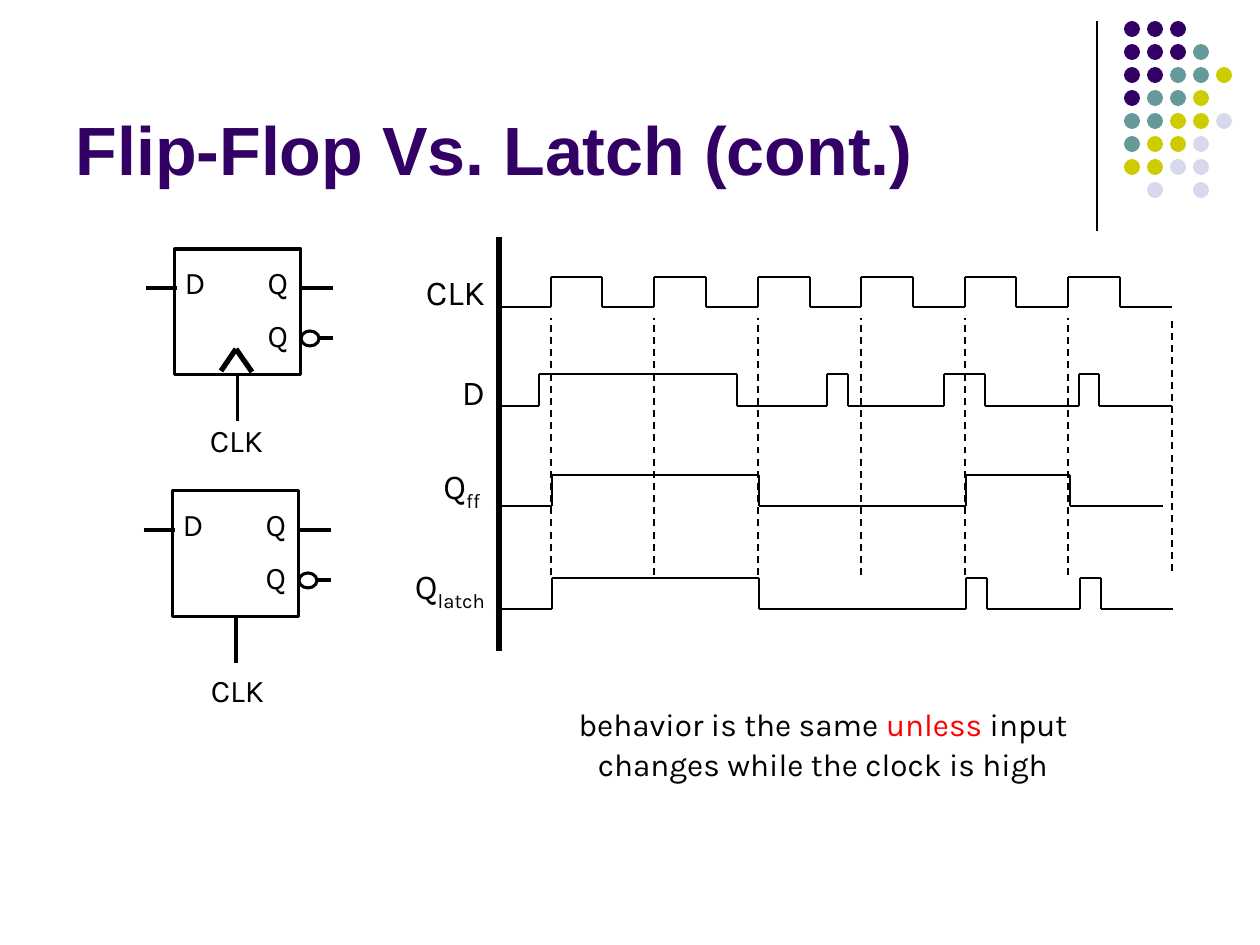
from dataclasses import dataclass
from itertools import pairwise
from typing import Any, NamedTuple

from lxml.etree import SubElement
from pptx import Presentation
from pptx.dml.color import RGBColor
from pptx.enum.dml import MSO_LINE
from pptx.enum.shapes import MSO_CONNECTOR, MSO_SHAPE
from pptx.enum.text import MSO_ANCHOR, MSO_AUTO_SIZE, PP_ALIGN
from pptx.oxml.ns import qn
from pptx.util import Emu, Pt

PX_PER_INCH = 126
COLORS = {
    "ink": "000000", "paper": "FFFFFF", "accent": "FF0000",
    "P": "330066", "T": "669999", "Y": "CCCC00", "L": "D8D8EC",
}
DOT_ROWS = ["PPP", "PPPT", "PPTTY", "PTTY", "TTYYL", "TYYL", "YYLL", " L L"]
DOT_LEFT, DOT_TOP, DOT_PITCH, DOT_SIZE = 1124, 21, 23, 16

AXIS_X, HALF_PERIOD = 499, 51.75
CLOCK_EDGES = [round(AXIS_X + HALF_PERIOD * i) for i in range(14)]


class Box(NamedTuple):
    x: int
    y: int
    w: int
    h: int


class Run(NamedTuple):
    text: str
    color: str = "ink"
    subscript: bool = False


@dataclass
class Wave:
    """A signal that starts low and toggles at every inner edge."""
    low: int
    high: int
    edges: list[int]


@dataclass
class Storage:
    """A flip-flop or latch symbol; the label offset is from its corner."""
    x: int
    y: int
    label_dx: int
    label_dy: int
    edge_triggered: bool


WAVES = [
    Wave(307, 277, CLOCK_EDGES),
    Wave(406, 374, [498, 539, 737, 827, 848, 944, 985, 1079, 1099, 1172]),
    Wave(506, 475, [496, 552, 759, 966, 1070, 1163]),
    Wave(609, 578, [496, 552, 759, 966, 987, 1080, 1101, 1173]),
]
SYMBOLS = [
    Storage(173, 491, 35, 186, False),
    Storage(175, 249, 32, 178, True),
]


def px(n: int) -> Emu:
    return Emu(round(n * 914400 / PX_PER_INCH))


def rgb(name: str) -> RGBColor:
    return RGBColor.from_string(COLORS[name])


def add_line(shapes: Any, x1: int, y1: int, x2: int, y2: int,
             width: float = 1.5, dashed: bool = False) -> Any:
    cxn = shapes.add_connector(MSO_CONNECTOR.STRAIGHT, px(x1), px(y1), px(x2), px(y2))
    cxn.line.color.rgb = rgb("ink")
    cxn.line.width = Pt(width)
    if dashed:
        cxn.line.dash_style = MSO_LINE.DASH
    SubElement(cxn._element.spPr, qn("a:effectLst"))
    return cxn


def add_solid(shapes: Any, kind: MSO_SHAPE, box: Box, fill: str,
              outline: float = 0) -> Any:
    sp = shapes.add_shape(kind, *map(px, box))
    sp.shadow.inherit = False
    sp.fill.solid()
    sp.fill.fore_color.rgb = rgb(fill)
    if outline:
        sp.line.color.rgb = rgb("ink")
        sp.line.width = Pt(outline)
    else:
        sp.line.fill.background()
    return sp


def add_text(shapes: Any, box: Box, lines: list[list[Run]], size: int,
             align: PP_ALIGN, spacing: Any, gap: float = 0,
             insets: tuple[int, int] = (3, 4), grow: bool = False) -> None:
    tf = shapes.add_textbox(*map(px, box)).text_frame
    side, edge = map(px, insets)
    frame_format = {
        "margin_left": side, "margin_right": side,
        "margin_top": edge, "margin_bottom": edge, "word_wrap": False,
        "auto_size": MSO_AUTO_SIZE.SHAPE_TO_FIT_TEXT if grow else MSO_AUTO_SIZE.NONE,
    }
    for name, value in frame_format.items():
        setattr(tf, name, value)
    for i, runs in enumerate(lines):
        p = tf.add_paragraph() if i else tf.paragraphs[0]
        p.alignment = align
        p.line_spacing = spacing
        if i and gap:
            p.space_before = Pt(gap)
        for run in runs:
            r = p.add_run()
            r.text = run.text
            r.font.name = "Karla"
            r.font.size = Pt(size)
            r.font.color.rgb = rgb(run.color)
            if run.subscript:
                r.font._element.set("baseline", "-25000")


def add_title(slide: Any) -> None:
    sp = slide.shapes.title
    sp.left, sp.top, sp.width, sp.height = map(px, Box(63, 16, 1040, 179))
    tf = sp.text_frame
    tf.text = "Flip-Flop Vs. Latch (cont.)"
    tf.vertical_anchor = MSO_ANCHOR.BOTTOM
    tf.auto_size = MSO_AUTO_SIZE.NONE
    p = tf.paragraphs[0]
    p.alignment = PP_ALIGN.LEFT
    for name, value in {"name": "Arial", "size": Pt(39), "bold": True}.items():
        setattr(p.font, name, value)
    p.runs[0].font.color.rgb = rgb("P")


def add_dots(slide: Any) -> None:
    shapes = slide.shapes.add_group_shape().shapes
    for row, colors in enumerate(DOT_ROWS):
        for col, color in enumerate(colors):
            if color != " ":
                box = Box(DOT_LEFT + col * DOT_PITCH, DOT_TOP + row * DOT_PITCH,
                          DOT_SIZE, DOT_SIZE)
                add_solid(shapes, MSO_SHAPE.OVAL, box, color)


def add_wave(shapes: Any, wave: Wave) -> None:
    levels = [wave.low, wave.high]
    last = len(wave.edges) - 2
    for i, (x1, x2) in enumerate(pairwise(wave.edges)):
        y, next_y = levels[i % 2], levels[(i + 1) % 2]
        add_line(shapes, x1, y, x2, y)
        if i < last:
            add_line(shapes, x2, y, x2, next_y)


def add_storage(slide: Any, s: Storage) -> None:
    shapes = slide.shapes.add_group_shape().shapes
    x, y = s.x, s.y
    body = add_solid(shapes, MSO_SHAPE.RECTANGLE, Box(x, y, 126, 126), "paper", 1.75)
    for name, dx, dy in [("D", 9, 27), ("Q", 92, 27), ("Q", 92, 80)]:
        add_text(shapes, Box(x + dx, y + dy, 22, 24), [[Run(name)]], 18,
                 PP_ALIGN.CENTER, Pt(14), insets=(0, 0), grow=True)
    for dx, dy in [(-29, 39), (127, 39), (127, 89)]:
        add_line(shapes, x + dx, y + dy, x + dx + 31, y + dy, 1.75)
    clock = add_line(shapes, x + 63, y + 126, x + 63, y + 172, 1.75)
    clock.begin_connect(body, 2)
    add_solid(shapes, MSO_SHAPE.OVAL, Box(x + 126, y + 82, 18, 15), "paper", 1.75)
    add_text(shapes, Box(x + s.label_dx, y + s.label_dy, 98, 52), [[Run("CLK")]],
             18, PP_ALIGN.LEFT, Pt(16))
    if s.edge_triggered:
        add_line(shapes, x + 46, y + 122, x + 61, y + 100, 3)
        add_line(shapes, x + 61, y + 100, x + 77, y + 123, 3)


def main() -> None:
    prs = Presentation()
    prs.slide_width, prs.slide_height = px(1260), px(945)
    slide = prs.slides.add_slide(prs.slide_layouts[5])
    shapes = slide.shapes

    add_title(slide)
    add_line(shapes, 1097, 21, 1097, 231, 0.75)
    add_dots(slide)

    add_text(shapes, Box(528, 699, 590, 80), [
        [Run("behavior is the same "), Run("unless", "accent"), Run(" input")],
        [Run("changes while the clock is high")],
    ], 18, PP_ALIGN.CENTER, 1.05)

    add_line(shapes, AXIS_X, 651, AXIS_X, 237, 3)
    rising_edges = CLOCK_EDGES[1::2]
    for x in rising_edges:
        bottom = 571 if x == rising_edges[-1] else 575
        add_line(shapes, x, bottom, x, 318, 1, dashed=True)
    add_text(shapes, Box(392, 258, 96, 368), [
        [Run("CLK")],
        [Run("D")],
        [Run("Q"), Run("ff ", subscript=True)],
        [Run("Q"), Run("latch", subscript=True)],
    ], 20, PP_ALIGN.RIGHT, Pt(28.6), gap=28.6)
    for wave in WAVES:
        add_wave(shapes, wave)
    for symbol in SYMBOLS:
        add_storage(slide, symbol)

    prs.save("out.pptx")


if __name__ == "__main__":
    main()
